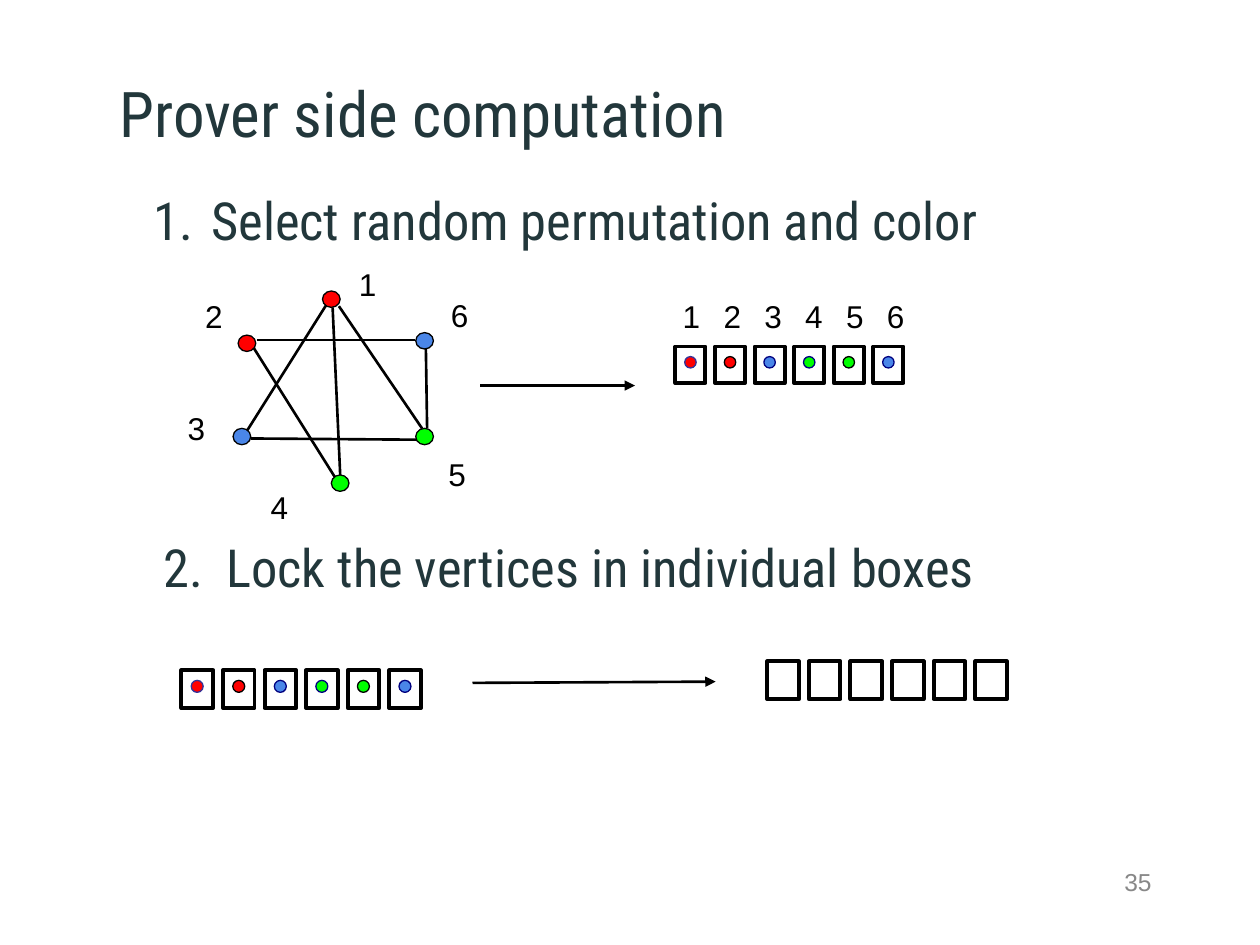
"""Build the slide on the prover's side of a graph colouring proof."""
from lxml import etree
from pptx import Presentation
from pptx.dml.color import RGBColor
from pptx.enum.shapes import MSO_CONNECTOR, MSO_SHAPE
from pptx.enum.text import MSO_ANCHOR, PP_ALIGN
from pptx.oxml.ns import qn
from pptx.util import Inches, Pt

LINE = MSO_CONNECTOR.STRAIGHT
RECT, OVAL = MSO_SHAPE.RECTANGLE, MSO_SHAPE.OVAL
LEFT, RIGHT, TOP = PP_ALIGN.LEFT, PP_ALIGN.RIGHT, MSO_ANCHOR.TOP
HEAD = "Roboto Condensed"
INK, BLACK, GREY = "22373B", "000000", "888888"
RED, BLUE, GREEN = "FF0000", "4A86E8", "00FF00"
NAVY, PLUM = "00007F", "333399"

DOTS = [(RED, PLUM), (RED, BLACK), (BLUE, NAVY),
        (GREEN, NAVY), (GREEN, BLACK), (BLUE, NAVY)]
NODES = [(1.17, 0.26, RED), (0.5, 0.61, RED), (0.46, 1.35, BLUE),
         (1.24, 1.72, GREEN), (1.91, 1.35, GREEN), (1.91, 0.59, BLUE)]
TAGS = [(1.36, 0), (0.14, 0.26), (0, 1.15),
        (0.66, 1.77), (2.07, 1.51), (2.09, 0.25)]
EDGES = [(1.3, 0.38, 1.96, 1.35), (0.65, 0.65, 1.9, 0.65),
         (1.25, 0.39, 1.31, 1.72), (1.99, 0.72, 2, 1.35),
         (0.6, 1.43, 1.94, 1.44), (0.61, 0.69, 1.27, 1.74),
         (1.2, 0.37, 0.57, 1.37)]


def tint(code):
    """Turn a hex string into a colour."""
    return RGBColor.from_string(code)


def write(slide, text, box, size=18, font="Arial", color=BLACK,
          pad=(0.1, 0.05), align=LEFT, start=None, hang=0.5, back=0.5):
    """Add a text box, numbered from start when that is given."""
    frame = slide.shapes.add_textbox(*map(Inches, box)).text_frame
    frame.word_wrap = True
    frame.vertical_anchor = TOP
    frame.margin_left = frame.margin_right = Inches(pad[0])
    frame.margin_top = frame.margin_bottom = Inches(pad[1])
    para = frame.paragraphs[0]
    para.alignment = align
    if start:
        props = para._p.get_or_add_pPr()
        props.set("marL", str(Inches(hang)))
        props.set("indent", str(-Inches(back)))
        shade = etree.SubElement(props, qn("a:buClr"))
        etree.SubElement(shade, qn("a:srgbClr"), val=color)
        etree.SubElement(props, qn("a:buFont"), typeface=font)
        etree.SubElement(props, qn("a:buAutoNum"),
                         type="arabicPeriod", startAt=str(start))
    run = para.add_run()
    run.text = text
    run.font.name, run.font.size = font, Pt(size)
    run.font.color.rgb = tint(color)


def draw(shapes, kind, box, fill=None, line=BLACK, width=0.75):
    """Add an outlined shape, hollow unless a fill is given."""
    shape = shapes.add_shape(kind, *map(Inches, box))
    shape.shadow.inherit = False
    if fill:
        shape.fill.solid()
        shape.fill.fore_color.rgb = tint(fill)
    else:
        shape.fill.background()
    shape.line.color.rgb = tint(line)
    shape.line.width = Pt(width)


def link(slide, ends, arrow=False):
    """Add a straight line, with an arrowhead at its end if asked."""
    wire = slide.shapes.add_connector(LINE, *map(Inches, ends))
    wire.line.color.rgb = tint(BLACK)
    wire.line.width = Pt(1.5)
    if arrow:
        etree.SubElement(wire.line._get_or_add_ln(), qn("a:tailEnd"),
                         type="triangle")
    etree.SubElement(wire._element.spPr, qn("a:effectLst"))


def graph(slide, left, top):
    """Draw the coloured graph with its vertex numbers."""
    for x1, y1, x2, y2 in EDGES:
        link(slide, (left + x1, top + y1, left + x2, top + y2))
    for x, y, fill in NODES:
        draw(slide.shapes, OVAL, (left + x, top + y, 0.14, 0.13), fill)
    for num, (x, y) in enumerate(TAGS, 1):
        write(slide, str(num), (left + x, top + y, 0.32, 0.39))


def row(slide, left, top, width, height, dots=()):
    """Draw six equal boxes in a group, each holding its dot if any."""
    shapes = slide.shapes.add_group_shape().shapes
    side = width * 0.132
    step = (width - side) / 5
    size = side * 0.38
    for i in range(6):
        draw(shapes, RECT, (left + i * step, top, side, height), width=2.25)
    for i, (fill, line) in enumerate(dots):
        x = left + i * step + (side - size) / 2
        draw(shapes, OVAL, (x, top + 0.08, size, size), fill, line)


def labels(slide, left, top, step):
    """Number the boxes of a row from one to six."""
    for i in range(6):
        write(slide, str(i + 1), (left + i * step, top, 0.32, 0.39))


def main():
    """Build and save the slide."""
    deck = Presentation()
    deck.slide_width, deck.slide_height = Inches(10), Inches(7.5)
    slide = deck.slides.add_slide(deck.slide_layouts[6])
    write(slide, "Prover side computation", (0.95, 0.59, 7.78, 0.66),
          size=36, font=HEAD, color=INK, pad=(0, 0))
    write(slide, "Select random permutation and color",
          (1.08, 1.44, 7.21, 0.61), size=30, font=HEAD, color=INK,
          start=1, back=0.46)
    graph(slide, 1.39, 2.05)
    link(slide, (3.81, 3.06, 5.04, 3.06), arrow=True)
    labels(slide, 5.32, 2.31, 0.324)
    row(slide, 5.36, 2.75, 1.81, 0.29, DOTS)
    write(slide, "Lock the vertices in individual boxes",
          (1.2, 4.15, 7.54, 0.69), size=30, font=HEAD, color=INK,
          pad=(0.1, 0.1), start=2)
    row(slide, 1.44, 5.32, 1.9, 0.3, DOTS)
    link(slide, (3.75, 5.42, 5.68, 5.41), arrow=True)
    row(slide, 6.09, 5.25, 1.9, 0.3)
    write(slide, "35", (7.46, 6.88, 1.68, 0.24), size=14, color=GREY,
          pad=(0, 0), align=RIGHT)
    deck.save("out.pptx")


if __name__ == "__main__":
    main()
